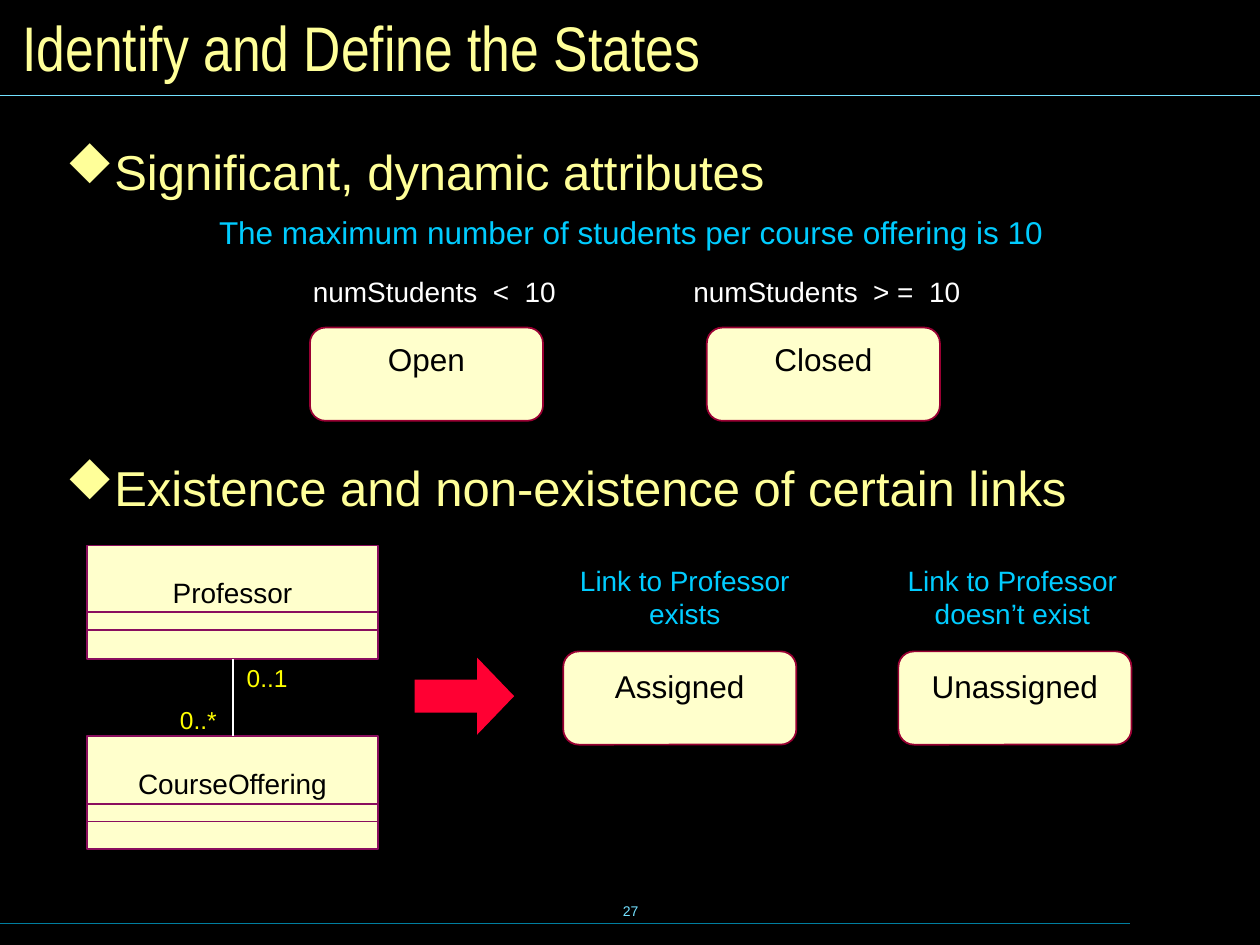
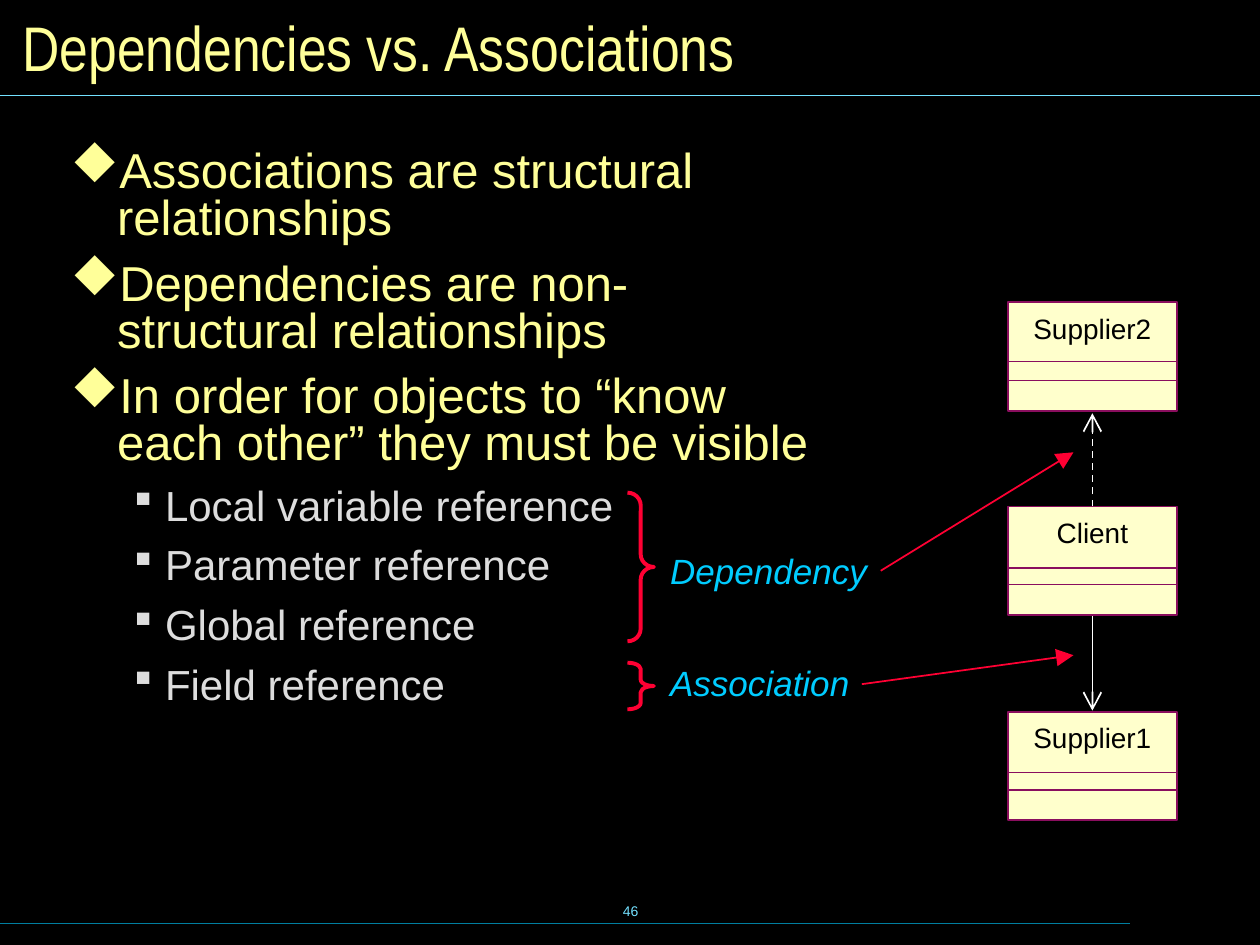
from lxml import etree
from pptx import Presentation
from pptx.dml.color import RGBColor
from pptx.enum.dml import MSO_LINE
from pptx.enum.shapes import MSO_CONNECTOR, MSO_SHAPE
from pptx.enum.text import MSO_ANCHOR, PP_ALIGN
from pptx.oxml.ns import qn
from pptx.util import Inches, Pt

LEFT, MID, RIGHT = PP_ALIGN.LEFT, PP_ALIGN.CENTER, PP_ALIGN.RIGHT
TOP, CENTER = MSO_ANCHOR.TOP, MSO_ANCHOR.MIDDLE
ROUND, RECT = MSO_SHAPE.ROUNDED_RECTANGLE, MSO_SHAPE.RECTANGLE
ARROW, BRACE = MSO_SHAPE.RIGHT_ARROW, MSO_SHAPE.RIGHT_BRACE
STRAIGHT, DASH = MSO_CONNECTOR.STRAIGHT, MSO_LINE.DASH

BLACK, WHITE, GRAY = "000000", "FFFFFF", "DDDDDD"
CREAM, PALE, YELLOW = "FFFFCC", "FFFF99", "FFFF00"
SKY, AQUA, TEAL = "00CCFF", "73E1FF", "007E9F"
RED, WINE, PLUM = "FF0033", "990033", "8A0E5E"
rgb = RGBColor.from_string


def write(shape, words, size, color, align=LEFT, anchor=TOP, top=0.05,
          face="Arial", slant=False):
    """Put words in a shape or text box, one paragraph a line."""
    frame = shape.text_frame
    frame.word_wrap = True
    frame.vertical_anchor = anchor
    frame.margin_top = Inches(top)
    frame.text = words
    for para in frame.paragraphs:
        para.alignment = align
        font = para.font
        font.name, font.size, font.italic = face, Pt(size), slant
        font.color.rgb = rgb(color)


def rule(slide, x1, y1, x2, y2, color, width=1, tip=None):
    """Draw a straight line, with a large arrowhead at its end if tip is given."""
    line = slide.shapes.add_connector(STRAIGHT, *map(Inches, (x1, y1, x2, y2)))
    line.line.color.rgb = rgb(color)
    line.line.width = Pt(width)
    props = line._element.spPr
    if tip:
        etree.SubElement(props.find(qn("a:ln")), qn("a:tailEnd"),
                         type=tip, w="lg", len="lg")
    etree.SubElement(props, qn("a:effectLst"))
    return line


deck = Presentation()
deck.slide_width, deck.slide_height = Inches(10), Inches(7.5)
blank = deck.slide_layouts[6]

# Background, title, rules and page number
pages = [("Identify and Define the States", "27"),
         ("Dependencies vs. Associations", "46")]
for title, number in pages:
    slide = deck.slides.add_slide(blank)
    slide.background.fill.solid()
    slide.background.fill.fore_color.rgb = rgb(BLACK)
    rule(slide, 0, 7.33, 8.97, 7.33, TEAL, 0.75)
    rule(slide, 0, 0.76, 10, 0.76, AQUA, 0.75)
    box = slide.shapes.add_textbox(*map(Inches, (3.42, 6.98, 3.17, 0.5)))
    write(box, number, 8, AQUA, MID, CENTER)
    box = slide.shapes.add_textbox(*map(Inches, (0.08, 0.08, 9.84, 0.58)))
    write(box, title, 36, PALE, anchor=CENTER, face="Arial Narrow")
states, links = deck.slides

# Bulleted text: level and words; in Wingdings, u is a diamond and § a square
levels = [("u", 0.37, 0.37, 0.8, 10.5, 28, PALE),
          ("§", 0.75, 0.25, 0.87, 9, 24, GRAY)]
bodies = [
    (states, (0.4, 1.15, 9.42, 0.6), [(0, "Significant, dynamic attributes")]),
    (states, (0.4, 3.66, 9.42, 0.6),
     [(0, "Existence and non-existence of certain links")]),
    (links, (0.44, 1.14, 6.16, 5.52), [
        (0, "Associations are structural relationships"),
        (0, "Dependencies are non-structural relationships"),
        (0, "In order for objects to “know each other” they must be visible"),
        (1, "Local variable reference"),
        (1, "Parameter reference"),
        (1, "Global reference"),
        (1, "Field reference")]),
]
for slide, at, items in bodies:
    frame = slide.shapes.add_textbox(*map(Inches, at)).text_frame
    frame.word_wrap = True
    frame.margin_left = frame.margin_right = Inches(0.12)
    frame.margin_top = frame.margin_bottom = Inches(0.06)
    for i, (level, words) in enumerate(items):
        mark, left, hang, pitch, gap, size, color = levels[level]
        para = frame.add_paragraph() if i else frame.paragraphs[0]
        para.text, para.level, para.line_spacing = words, level, pitch
        if i:
            para.space_before = Pt(gap)
        props = para._p.get_or_add_pPr()
        props.set("marL", str(Inches(left)))
        props.set("indent", str(-Inches(hang)))
        tint = etree.SubElement(props, qn("a:buClr"))
        etree.SubElement(tint, qn("a:srgbClr"), val=color)
        etree.SubElement(props, qn("a:buFont"), typeface="Wingdings",
                         pitchFamily="2", charset="2")
        etree.SubElement(props, qn("a:buChar"), char=mark)
        para.font.name, para.font.size = "Arial", Pt(size)
        para.font.color.rgb = rgb(color)

# State boxes
for name, x, y, top in [("Open", 2.46, 2.6, 0.06), ("Closed", 5.61, 2.6, 0.06),
                        ("Assigned", 4.47, 5.17, 0.09),
                        ("Unassigned", 7.13, 5.17, 0.09)]:
    state = states.shapes.add_shape(ROUND, *map(Inches, (x, y, 1.85, 0.74)))
    state.shadow.inherit = False
    state.fill.solid()
    state.fill.fore_color.rgb = rgb(CREAM)
    state.line.color.rgb = rgb(WINE)
    state.line.width = Pt(1)
    write(state, name, 18, BLACK, MID, top=top)

# Class boxes, each with two dividers
wide, slim = (2.31, 0.9, 0.24), (1.34, 0.86, 0.07)
for slide, name, x, y, form, cuts in [
        (states, "Professor", 0.69, 4.33, wide, (0.53, 0.67)),
        (states, "CourseOffering", 0.69, 5.84, wide, (0.54, 0.68)),
        (links, "Supplier2", 8, 2.4, slim, (0.47, 0.62)),
        (links, "Client", 8, 4.02, slim, (0.49, 0.62)),
        (links, "Supplier1", 8, 5.65, slim, (0.48, 0.62))]:
    w, h, top = form
    box = slide.shapes.add_shape(RECT, *map(Inches, (x, y, w, h)))
    box.shadow.inherit = False
    box.fill.solid()
    box.fill.fore_color.rgb = rgb(CREAM)
    box.line.color.rgb = rgb(PLUM)
    box.line.width = Pt(1)
    write(box, name, 16, BLACK, MID, top=top)
    for cut in cuts:
        rule(slide, x, y + cut, x + w, y + cut, PLUM)

# Free labels
for slide, words, at, size, color, align in [
        (states, "The maximum number of students per course offering is 10",
         (1.64, 1.64, 6.9, 0.4), 18, SKY, LEFT),
        (states, "numStudents  <  10", (2.1, 2.13, 2.41, 0.37), 16, WHITE, RIGHT),
        (states, "numStudents  > =  10", (5.17, 2.13, 2.55, 0.37), 16, WHITE, RIGHT),
        (states, "Link to Professor\nexists", (4.4, 4.42, 2.07, 0.64), 16, SKY, MID),
        (states, "Link to Professor\ndoesn’t exist", (7, 4.42, 2.07, 0.64), 16, SKY, MID),
        (states, "0..1", (1.86, 5.21, 0.6, 0.33), 14, YELLOW, LEFT),
        (states, "0..*", (1.33, 5.55, 0.6, 0.33), 14, YELLOW, LEFT),
        (links, "Dependency", (5.22, 4.31, 1.89, 0.44), 20, SKY, LEFT),
        (links, "Association", (5.22, 5.2, 2.04, 0.44), 20, SKY, LEFT)]:
    label = slide.shapes.add_textbox(*map(Inches, at))
    write(label, words, size, color, align, slant=slide is links)

# Link between the classes, and the block arrow
rule(states, 1.85, 5.23, 1.85, 5.84, WHITE)
arrow = states.shapes.add_shape(ARROW, *map(Inches, (3.29, 5.22, 0.79, 0.61)))
arrow.shadow.inherit = False
arrow.adjustments[0], arrow.adjustments[1] = 0.43, 0.48
arrow.fill.solid()
arrow.fill.fore_color.rgb = rgb(RED)
arrow.line.fill.background()

# Braces and arrows of the visibility kinds
for y, h, bend in [(3.91, 1.18, 0.48), (5.26, 0.37, 0.24)]:
    brace = links.shapes.add_shape(BRACE, *map(Inches, (4.98, y, 0.21, h)))
    brace.shadow.inherit = False
    brace.adjustments[0] = bend
    brace.fill.background()
    brace.line.color.rgb = rgb(RED)
    brace.line.width = Pt(2.25)
rule(links, 6.99, 4.53, 8.52, 3.59, RED, tip="triangle")
rule(links, 6.84, 5.43, 8.52, 5.2, RED, tip="triangle")
rule(links, 8.67, 4.89, 8.67, 5.64, WHITE, tip="arrow")
depend = rule(links, 8.67, 4.02, 8.67, 3.28, WHITE, tip="arrow")
depend.line.dash_style = DASH

deck.save("out.pptx")
